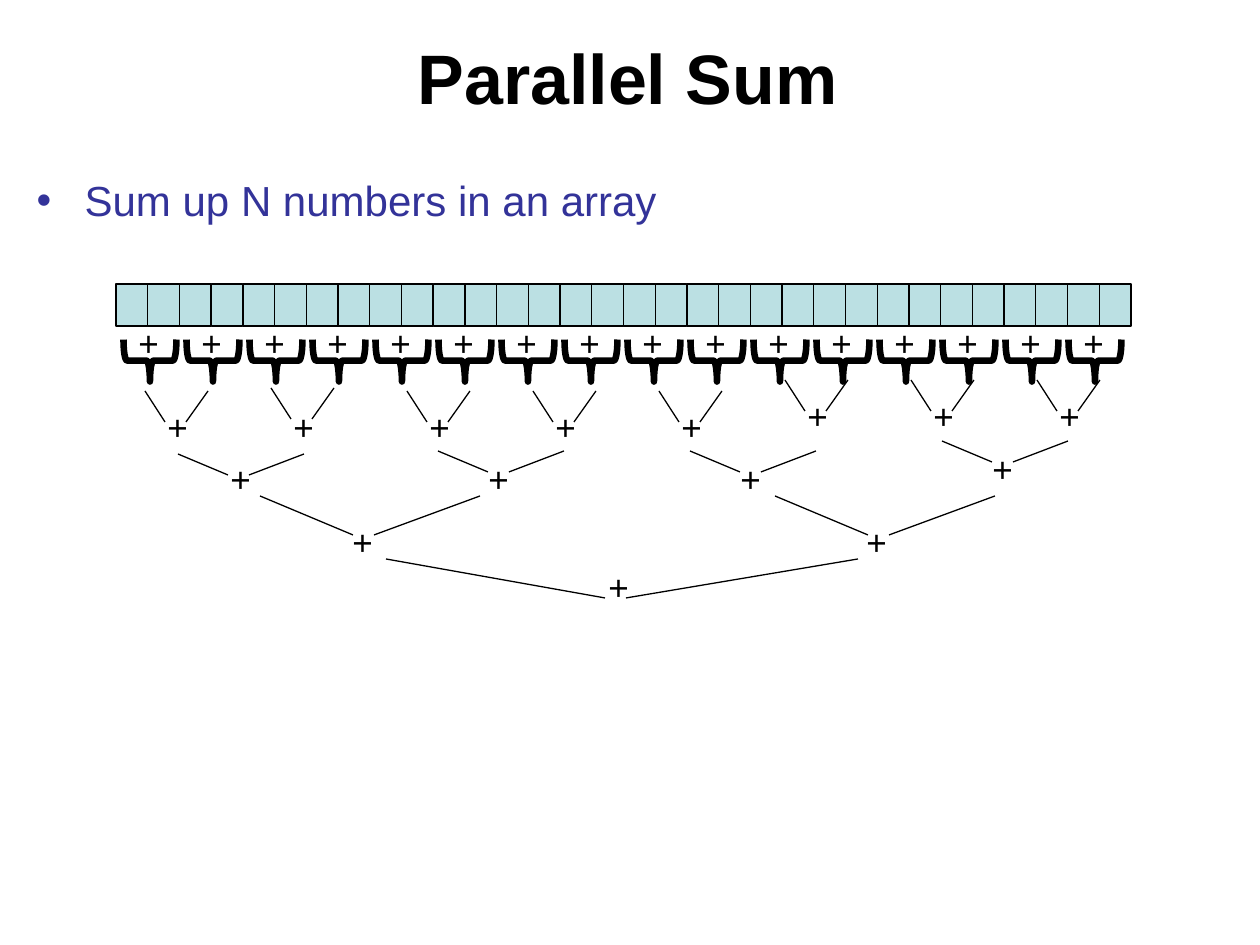
from dataclasses import dataclass

from lxml.etree import SubElement
from pptx import Presentation
from pptx.dml.color import RGBColor
from pptx.enum.shapes import MSO_CONNECTOR, MSO_SHAPE
from pptx.enum.text import MSO_ANCHOR, MSO_AUTO_SIZE, PP_ALIGN
from pptx.oxml.ns import qn
from pptx.util import Emu, Pt

PX_PER_INCH = 126


@dataclass(frozen=True)
class Theme:
    font: str = "Arial"
    ink: RGBColor = RGBColor(0x00, 0x00, 0x00)
    body: RGBColor = RGBColor(0x33, 0x33, 0x99)
    cell: RGBColor = RGBColor(0xBB, 0xE0, 0xE3)
    title_size: Pt = Pt(40)
    body_size: Pt = Pt(24)
    plus_size: Pt = Pt(20)
    thin: Pt = Pt(0.75)
    thick: Pt = Pt(3.75)


@dataclass(frozen=True)
class Level:
    """One round of additions: how wide and deep each pair of branches is."""
    span: int    # between the outer ends of the two branches
    reach: int   # sideways run of the left branch
    drop: int    # height of both branches
    sums: tuple  # (left branch x, branch top, plus left, plus top)


THEME = Theme()
CELLS = 32
PAIRS = CELLS // 2
PAIR_STEP = 63
BRANCH_GAP = 21

LEVELS = (
    Level(63, 20, 31, (
        (145, 391, 155, 399), (271, 388, 281, 399),
        (407, 391, 417, 399), (533, 391, 543, 399),
        (659, 391, 669, 399), (785, 380, 795, 388),
        (911, 380, 921, 388), (1037, 380, 1047, 388))),
    Level(126, 50, 21, (
        (178, 454, 218, 451), (438, 451, 476, 451),
        (690, 451, 728, 451), (942, 441, 980, 441))),
    Level(220, 93, 39, ((260, 496, 340, 514), (775, 496, 854, 514))),
    Level(472, 219, 39, ((386, 559, 596, 559),)),
)


def px(length):
    return Emu(round(length * 914400 / PX_PER_INCH))


def box(*lengths):
    return [px(length) for length in lengths]


def style_font(paragraph, size, color, bold=False):
    font = paragraph.font
    font.name, font.size, font.bold = THEME.font, size, bold
    font.color.rgb = color


def fill_placeholder(placeholder, text, bounds, anchor):
    placeholder.left, placeholder.top, placeholder.width, placeholder.height = box(*bounds)
    frame = placeholder.text_frame
    frame.text = text
    frame.vertical_anchor = anchor
    return frame.paragraphs[0]


def add_bullet(paragraph, indent):
    properties = paragraph._p.get_or_add_pPr()
    properties.set("marL", str(px(indent)))
    properties.set("indent", str(-px(indent)))
    SubElement(properties, qn("a:buChar")).set("char", "•")


def add_cell(row, left, right):
    cell = row.shapes.add_shape(MSO_SHAPE.RECTANGLE, *box(left, 284, right - left, 42))
    cell.shadow.inherit = False
    cell.fill.solid()
    cell.fill.fore_color.rgb = THEME.cell
    cell.line.color.rgb = THEME.ink
    cell.line.width = THEME.thin


def add_array(slide, left, width):
    row = slide.shapes.add_group_shape()
    edges = [left + round(width * i / CELLS, 2) for i in range(CELLS + 1)]
    for start, end in zip(edges, edges[1:]):
        add_cell(row, start, end)


def add_brace(slide, left):
    brace = slide.shapes.add_shape(MSO_SHAPE.LEFT_BRACE, *box(left, 334, 42, 53))
    brace.rotation = 270
    brace.adjustments[0] = 0.083
    brace.shadow.inherit = False
    brace.fill.background()
    brace.line.color.rgb = THEME.ink
    brace.line.width = THEME.thick


def add_plus(slide, left, top):
    frame = slide.shapes.add_textbox(*box(left, top, 45, 55)).text_frame
    frame.word_wrap = False
    frame.auto_size = MSO_AUTO_SIZE.SHAPE_TO_FIT_TEXT
    plus = frame.paragraphs[0]
    plus.text = "+"
    style_font(plus, THEME.plus_size, THEME.ink)


def add_branch(slide, x1, y1, x2, y2):
    branch = slide.shapes.add_connector(MSO_CONNECTOR.STRAIGHT, *box(x1, y1, x2, y2))
    branch.line.color.rgb = THEME.ink
    branch.line.width = THEME.thin
    SubElement(branch._element.spPr, qn("a:effectLst"))


def add_level(slide, level):
    for x, y, plus_left, plus_top in level.sums:
        bottom = y + level.drop
        inner = x + level.reach
        add_branch(slide, x, y, inner, bottom)
        add_branch(slide, x + level.span, y, inner + BRANCH_GAP, bottom)
        add_plus(slide, plus_left, plus_top)


def main():
    presentation = Presentation()
    presentation.slide_width, presentation.slide_height = box(1260, 945)
    slide = presentation.slides.add_slide(presentation.slide_layouts[1])

    # Title and statement of the task
    title = fill_placeholder(slide.shapes.title, "Parallel Sum",
                             (24, 14, 1207, 125), MSO_ANCHOR.MIDDLE)
    title.alignment = PP_ALIGN.CENTER
    style_font(title, THEME.title_size, THEME.ink, bold=True)

    task = fill_placeholder(slide.placeholders[1], "Sum up N numbers in an array",
                            (24, 168, 1207, 82), MSO_ANCHOR.TOP)
    task.space_before = Pt(0)
    add_bullet(task, 48)
    style_font(task, THEME.body_size, THEME.body)

    # Array and its neighbouring pairs
    add_array(slide, 116, 1015)
    for pair in range(PAIRS):
        add_brace(slide, 129 + pair * PAIR_STEP)
        add_plus(slide, 126 + pair * PAIR_STEP, 315)

    # Tree of partial sums
    for level in LEVELS:
        add_level(slide, level)

    presentation.save("out.pptx")


if __name__ == "__main__":
    main()
